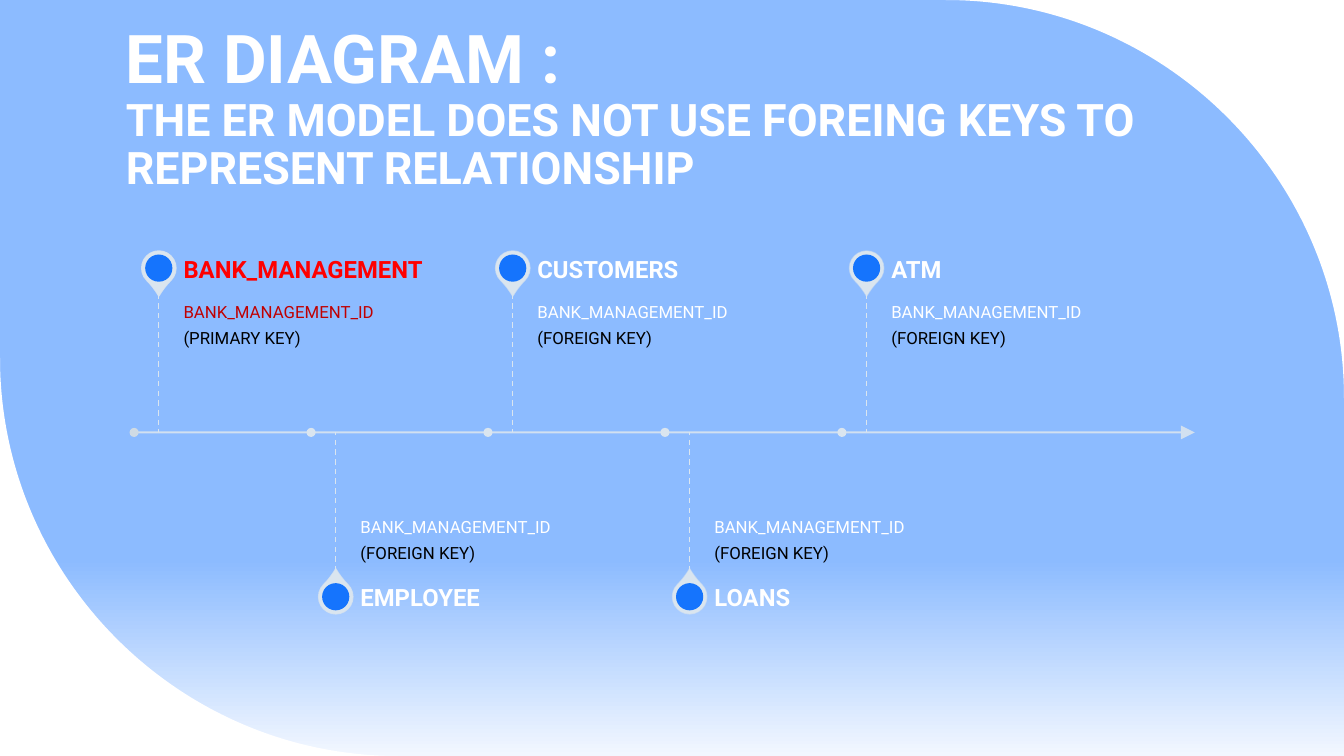
import math

import pptx
import pptx.dml.color
import pptx.enum.dml
import pptx.enum.shapes
import pptx.enum.text
import pptx.oxml
import pptx.oxml.ns
import pptx.util

Inches = pptx.util.Inches
Pt = pptx.util.Pt
Shape = pptx.enum.shapes.MSO_SHAPE
Anchor = pptx.enum.text.MSO_ANCHOR

WIDTH, HEIGHT = 13.33, 7.5
CORNER_RADIUS = 3.95
ARC_HANDLE = 0.55  # Bezier handle of a quarter circle, as a share of the radius
AXIS_Y = 4.29
FIRST_DOT, STEP = 1.33, 1.755
STEM_OFFSET, TEXT_OFFSET = 0.245, 0.49
TEXT_WIDTH, BODY_HEIGHT, NAME_HEIGHT = 2.91, 1.38, 0.49

WHITE, BLACK, SKY, PALE = "FFFFFF", "000000", "8CBBFF", "F2F7FF"
MIST, BLUE, RED, DARK_RED = "DAE5EF", "0068FF", "FF0000", "C00000"

# name, name colour, key colour, kind of key
ENTITIES = [
    ("BANK_MANAGEMENT", RED, DARK_RED, "(PRIMARY KEY)"),
    ("EMPLOYEE", WHITE, WHITE, "(FOREIGN KEY)"),
    ("CUSTOMERS", WHITE, WHITE, "(FOREIGN KEY)"),
    ("LOANS", WHITE, WHITE, "(FOREIGN KEY)"),
    ("ATM", WHITE, WHITE, "(FOREIGN KEY)"),
]


def color(value):
    return pptx.dml.color.RGBColor.from_string(value)


def apply(target, values):
    for name, value in values.items():
        setattr(target, name, value)


def element(tag, **attributes):
    """Make an empty drawing element such as a:alpha."""
    node = pptx.oxml.parse_xml(f"<{tag} {pptx.oxml.ns.nsdecls('a')}/>")
    for name, value in attributes.items():
        node.set(name, str(value))
    return node


class Painter:
    font = "Roboto"

    def __init__(self, page):
        self.page = page

    def background(self, top, bottom, start):
        fill = self.page.background.fill
        fill.gradient()
        fill.gradient_angle = 270
        for stop, value, position in zip(fill.gradient_stops, (top, bottom), (start, 1)):
            stop.color.rgb = color(value)
            stop.position = position

    def paint(self, fill, value, opacity=100):
        """Fill with one colour, seen through when opacity is below 100."""
        fill.solid()
        fill.fore_color.rgb = color(value)
        if opacity < 100:
            node = fill._xPr.find(".//" + pptx.oxml.ns.qn("a:srgbClr"))
            node.append(element("a:alpha", val=opacity * 1000))

    def corner(self, left, top, start, end, tip):
        """Cover a square corner up to a quarter circle; points are shares of its side."""
        def place(point):
            return (Inches(left + CORNER_RADIUS * point[0]),
                    Inches(top + CORNER_RADIUS * point[1]))

        builder = self.page.shapes.build_freeform(*place(start), scale=1.0)
        builder.add_line_segments([place(end), place(tip)], close=True)
        shape = builder.convert_to_shape()
        first_side = shape._element.find(".//" + pptx.oxml.ns.qn("a:lnTo"))
        curve = element("a:cubicBezTo")
        for point, share in ((start, ARC_HANDLE), (end, ARC_HANDLE), (end, 0)):
            x, y = (Inches(CORNER_RADIUS * (near + share * (far - near)))
                    for near, far in zip(point, tip))
            curve.append(element("a:pt", x=int(x), y=int(y)))
        first_side.getparent().replace(first_side, curve)
        self.paint(shape.fill, WHITE)
        shape.line.fill.background()
        shape.shadow.inherit = False

    def mark(self, kind, center_x, center_y, size, fill, opacity=100,
             rotation=0, outline_opacity=None):
        shape = self.page.shapes.add_shape(
            kind, Inches(center_x - size / 2), Inches(center_y - size / 2),
            Inches(size), Inches(size))
        shape.rotation = rotation
        shape.shadow.inherit = False
        self.paint(shape.fill, fill, opacity)
        if outline_opacity is None:
            shape.line.fill.background()
        else:
            shape.line.width = Pt(1)
            self.paint(shape.line.fill, MIST, outline_opacity)
        return shape

    def line(self, start, end, width, opacity=100, dashed=False, arrow=False):
        connector = self.page.shapes.add_connector(
            pptx.enum.shapes.MSO_CONNECTOR.STRAIGHT, *map(Inches, start + end))
        connector.line.width = Pt(width)
        self.paint(connector.line.fill, MIST, opacity)
        if dashed:
            connector.line.dash_style = pptx.enum.dml.MSO_LINE.DASH
        if arrow:
            connector.line._get_or_add_ln().append(
                element("a:tailEnd", type="triangle", w="lg", len="lg"))
        connector._element.spPr.append(element("a:effectLst"))

    def text(self, place, paras, insets, anchor=Anchor.TOP, **para_format):
        """Write paragraphs, each a list of (text, size, colour, bold) spans."""
        frame = self.page.shapes.add_textbox(*map(Inches, place)).text_frame
        sides = ("margin_left", "margin_top", "margin_right", "margin_bottom")
        apply(frame, {"word_wrap": True, "vertical_anchor": anchor,
                      **dict(zip(sides, map(Inches, insets)))})
        for index, spans in enumerate(paras):
            para = frame.add_paragraph() if index else frame.paragraphs[0]
            apply(para, para_format)
            for number, (words, size, value, bold) in enumerate(spans):
                if number:
                    para.add_line_break()
                span = para.add_run()
                span.text = words
                apply(span.font, {"name": self.font, "size": Pt(size), "bold": bold})
                span.font.color.rgb = color(value)

    def entity(self, index, name, name_color, key_color, key_kind):
        """Place one entity: even ones above the axis, odd ones below."""
        above = index % 2 == 0
        dot_x = FIRST_DOT + index * STEP
        stem_x, text_x = dot_x + STEM_OFFSET, dot_x + TEXT_OFFSET
        pin_y = 2.66 if above else 5.92
        stem_end = AXIS_Y - BODY_HEIGHT if above else AXIS_Y + BODY_HEIGHT
        rotation = 135 if above else 315

        pin = self.mark(Shape.TEAR, stem_x, pin_y, 0.34, MIST, rotation=rotation,
                        outline_opacity=90 - 10 * index)
        pin.adjustments[0] = 1.15
        self.mark(Shape.OVAL, stem_x, pin_y, 0.27, BLUE, 90, rotation)
        self.text((text_x, min(AXIS_Y, stem_end), TEXT_WIDTH, BODY_HEIGHT),
                  [[("BANK_MANAGEMENT_ID", 12, key_color, False)],
                   [(key_kind, 12, BLACK, False)]],
                  (0, 0.08, 0.09, 0.13) if above else (0, 0.13, 0, 0.09),
                  Anchor.TOP if above else Anchor.BOTTOM, space_after=Pt(4.2))
        self.text((text_x, 2.42 if above else 5.68, TEXT_WIDTH, NAME_HEIGHT),
                  [[(name, 17, name_color, True)]], (0, 0, 0.12, 0), Anchor.MIDDLE)
        self.line((stem_x, stem_end), (stem_x, AXIS_Y), 1, dashed=True)
        self.mark(Shape.OVAL, dot_x, AXIS_Y, 0.09, MIST if index else "D0DBE4")


def main():
    deck = pptx.Presentation()
    apply(deck, {"slide_width": Inches(WIDTH), "slide_height": Inches(HEIGHT)})
    painter = Painter(deck.slides.add_slide(deck.slide_layouts[6]))

    painter.background(SKY, PALE, 0.74)
    painter.corner(WIDTH - CORNER_RADIUS, 0, (0, 0), (1, 1), (1, 0))
    painter.corner(0, HEIGHT - CORNER_RADIUS, (1, 1), (0, 0), (0, 1))
    painter.text((1.15, 0.48, 10.69, 1.84),
                 [[("ER DIAGRAM :", 48, WHITE, True),
                   ("THE ER MODEL DOES NOT USE FOREING KEYS TO REPRESENT RELATIONSHIP",
                    32, WHITE, True)]],
                 (0.1, 0, 0.1, 0.39), Anchor.BOTTOM, line_spacing=0.9)

    painter.line((1.31, AXIS_Y), (11.85, AXIS_Y), 1.5, opacity=90, arrow=True)
    for index, entity in enumerate(ENTITIES):
        painter.entity(index, *entity)
    deck.save("out.pptx")


if __name__ == "__main__":
    main()
